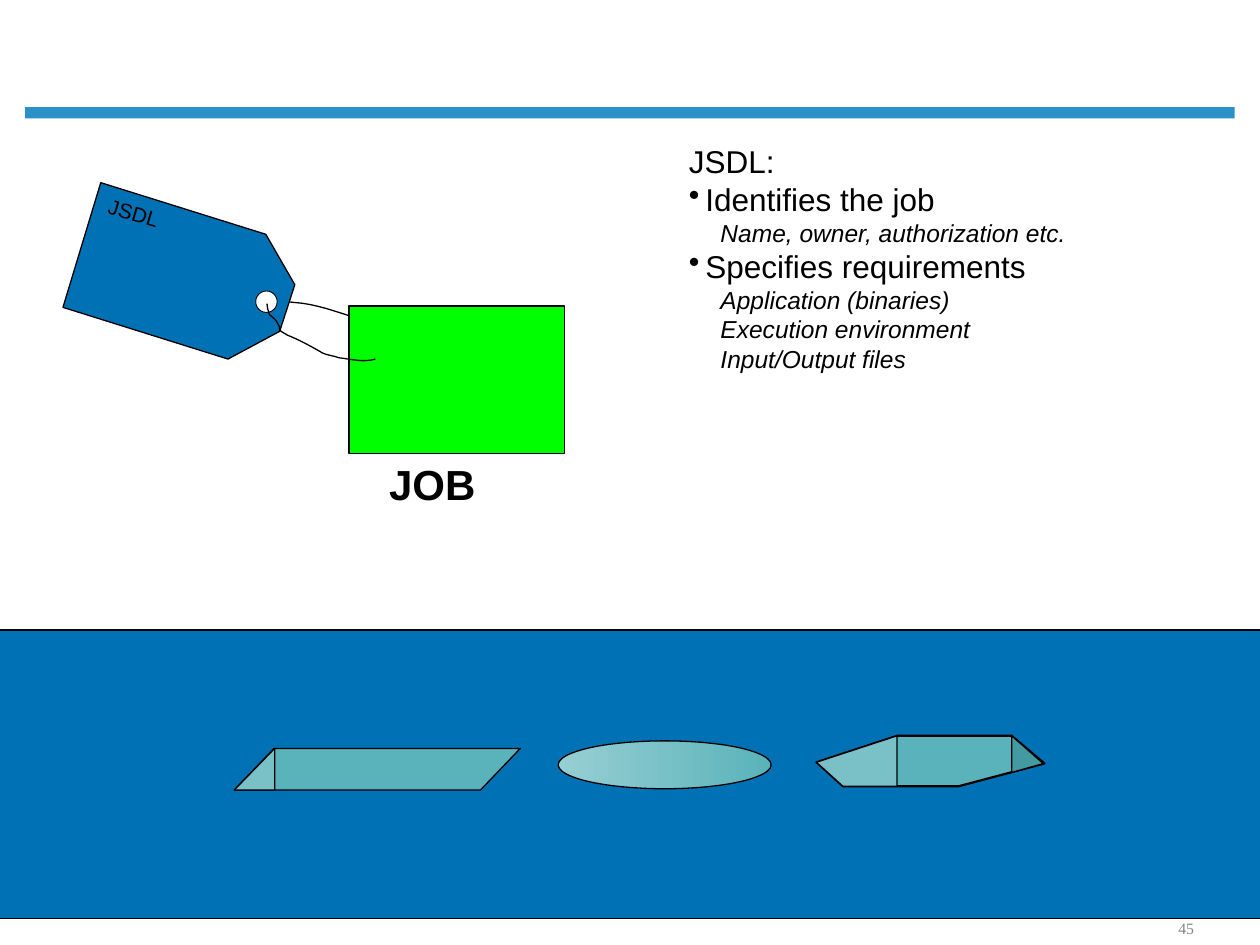
import pptx
import pptx.dml.color
import pptx.enum.shapes
import pptx.enum.text
import pptx.util
from pptx.oxml.ns import qn

COLUMNS, ROWS = 100, 75
CELL = pptx.util.Inches(0.1)
SHAPE = pptx.enum.shapes.MSO_SHAPE
ALIGN = pptx.enum.text.PP_ALIGN
ANCHOR = pptx.enum.text.MSO_ANCHOR
BLACK, BLUE, TEAL, LIGHT_TEAL = "000000", "0071B5", "5AB3BA", "79C1C7"


def color(value):
    """Return the colour for a hex string."""
    return pptx.dml.color.RGBColor.from_string(value)


def place(box, left, top, width, height):
    """Turn grid cells inside a box into slide lengths."""
    cells = (box[0] + left, box[1] + top, width, height)
    return [round(cell * CELL) for cell in cells]


def paint(shape, fill, line=BLACK, weight=0.75):
    """Set fill and outline, leaving out what is None."""
    shape.shadow.inherit = False
    if fill:
        shape.fill.solid()
        shape.fill.fore_color.rgb = color(fill)
    else:
        shape.fill.background()
    if line:
        shape.line.color.rgb = color(line)
        shape.line.width = pptx.util.Pt(weight)
    else:
        shape.line.fill.background()
    return shape


def add_preset(page, box, kind, area, fill, line=BLACK, weight=0.75):
    """Add a painted preset shape."""
    shape = page.shapes.add_shape(kind, *place(box, *area))
    return paint(shape, fill, line, weight)


def add_outline(page, box, points, fill, weight=0.75, close=True):
    """Add a freeform through points given in grid cells."""
    spots = [place(box, x, y, 0, 0)[:2] for x, y in points]
    builder = page.shapes.build_freeform(*spots[0])
    builder.add_line_segments(spots[1:], close=close)
    return paint(builder.convert_to_shape(), fill, weight=weight)


def add_string(page, box, knots, steps=8):
    """Draw a chain of cubic curves, three knots for each after the start."""
    points = [knots[0]]
    for start in range(0, len(knots) - 1, 3):
        curve = knots[start:start + 4]
        for step in range(1, steps + 1):
            t = step / steps
            weights = ((1 - t) ** 3, 3 * t * (1 - t) ** 2, 3 * t ** 2 * (1 - t), t ** 3)
            points.append([sum(w * knot[axis] for w, knot in zip(weights, curve))
                           for axis in (0, 1)])
    add_outline(page, box, points, None, close=False)


def style(para, size, name="Arial", tint=BLACK, bold=False, italic=False):
    """Set the font of a paragraph."""
    para.font.size = pptx.util.Pt(size)
    para.font.name = name
    para.font.color.rgb = color(tint)
    para.font.bold = bold
    para.font.italic = italic


def add_label(page, box, area, text, size, **font):
    """Add a text box with one styled paragraph."""
    label = page.shapes.add_textbox(*place(box, *area))
    label.text_frame.word_wrap = True
    para = label.text_frame.paragraphs[0]
    para.text = text
    style(para, size, **font)
    return label


def add_header_rule(page, box):
    """Draw the bar under the title area."""
    add_preset(page, box, SHAPE.RECTANGLE, (0, 0, *box[2:]), "2990CA", line=None)


def add_tagged_job(page, box):
    """Draw the job block with the JSDL tag tied to it."""
    add_string(page, box, [
        (16.2, 14), (17.1, 13.6), (16.5, 13.8), (18.3, 14),
        (20.1, 14.1), (21.8, 14.8), (23.5, 15.3), (23.8, 15.8), (24.2, 16.2), (24.7, 16.5),
        (25, 17.5), (24.6, 16.3), (25, 17.1), (25.2, 17.3), (25.1, 17.6), (25.3, 17.8),
        (25.5, 18.2), (25.5, 17.8), (25.5, 18.1)])
    add_preset(page, box, SHAPE.RECTANGLE, (22.7, 14.3, 17.1, 11.7), "00FF00")
    add_outline(page, box, [(3, 4.5), (0, 14.4), (13.1, 18.5), (17.2, 16.3),
                            (18.4, 12.6), (16.1, 8.6)], BLUE)
    add_preset(page, box, SHAPE.OVAL, (15.3, 13.1, 1.7, 1.7), "FFFFFF", weight=0.5)
    add_string(page, box, [
        (24.8, 18.5), (23.9, 18.8), (22.8, 18.5), (21.9, 18.4),
        (21.4, 18.2), (20.8, 18.2), (20.4, 17.9), (19.7, 17.5), (18.6, 16.9), (17.8, 16.6),
        (17.7, 16.5), (17.4, 16.4), (17.2, 16.2), (17.2, 16.1), (17.2, 15.9), (17.1, 15.8),
        (17, 15.5), (16.7, 15.2), (16.4, 15), (16.3, 14.7), (16.2, 14.4), (16.2, 14.1)])
    add_label(page, box, (1.4, 6.3, 13.6, 10.3), "JSDL", 12).rotation = 16.6
    add_label(page, box, (24.9, 25.9, 10, 5), "JOB", 24, bold=True)


def add_purposes(page, box):
    """List what JSDL does, with details under each bullet."""
    frame = page.shapes.add_textbox(*place(box, 0, 0, *box[2:])).text_frame
    frame.word_wrap = True
    lines = [("heading", "JSDL:"), ("bullet", "Identifies the job"),
             ("detail", "Name, owner, authorization etc."),
             ("bullet", "Specifies requirements"), ("detail", "Application (binaries)"),
             ("detail", "Execution environment"), ("detail", "Input/Output files")]
    for number, (role, text) in enumerate(lines):
        para = frame.add_paragraph() if number else frame.paragraphs[0]
        para.text = text
        detail = role == "detail"
        para.level = int(detail)
        margin, indent = (0.25, 0) if detail else (0.13, -0.13)
        properties = para._p.get_or_add_pPr()
        properties.set("marL", str(pptx.util.Inches(margin)))
        properties.set("indent", str(pptx.util.Inches(indent)))
        if role == "bullet":
            mark = properties.makeelement(qn("a:buChar"), {"char": "•"})
        else:
            mark = properties.makeelement(qn("a:buNone"), {})
        properties.append(mark)
        style(para, 14 if detail else 18, italic=detail)


def add_band(page, box):
    """Fill the lower band behind the solids."""
    add_preset(page, box, SHAPE.RECTANGLE, (0, 0, *box[2:]), BLUE)


def add_solids(page, box):
    """Draw the slanted block, the ellipse and the gem in a row."""
    block = add_preset(page, box, SHAPE.PARALLELOGRAM, (0, 1, 22.7, 3.3), TEAL)
    block.adjustments[0] = 0.958
    add_outline(page, box, [(3.2, 1), (3.2, 4.3), (0, 4.3)], LIGHT_TEAL)
    ellipse = add_preset(page, box, SHAPE.OVAL, (25.7, 0.4, 16.9, 3.8), TEAL)
    ellipse.fill.gradient()
    ellipse.fill.gradient_angle = 0
    for stop, tint in zip(ellipse.fill.gradient_stops, ("97CFD3", TEAL)):
        stop.color.rgb = color(tint)
    add_outline(page, box, [(46.2, 2.1), (52.6, 0), (61.7, 0), (64.3, 2.2),
                            (57.5, 4), (48.3, 4)], TEAL, weight=1.25)
    add_outline(page, box, [(64.2, 2.2), (61.7, 2.9), (61.7, 0)], "439AA1")
    add_outline(page, box, [(52.6, 0), (52.6, 4), (48.3, 4), (46.2, 2.1)], LIGHT_TEAL)


def add_page_number(page, box):
    """Write the page number at the lower right."""
    label = add_label(page, box, (0, 0, *box[2:]), "45", 9,
                      name="Times New Roman", tint="848589")
    label.text_frame.vertical_anchor = ANCHOR.BOTTOM
    label.text_frame.paragraphs[0].alignment = ALIGN.CENTER


def main():
    """Build the slide and save it."""
    deck = pptx.Presentation()
    deck.slide_width, deck.slide_height = COLUMNS * CELL, ROWS * CELL
    page = deck.slides.add_slide(deck.slide_layouts[6])
    add_header_rule(page, (2, 8.5, 96, 0.9))
    add_band(page, (-5.7, 50, 109.7, 22.9))
    add_solids(page, (18.6, 58.4, 64.3, 4.3))
    add_tagged_job(page, (5, 10, 40, 31))
    add_purposes(page, (53.7, 10.8, 34, 27.7))
    add_page_number(page, (90, 72.5, 8.3, 2.4))
    deck.save("out.pptx")


if __name__ == "__main__":
    main()
